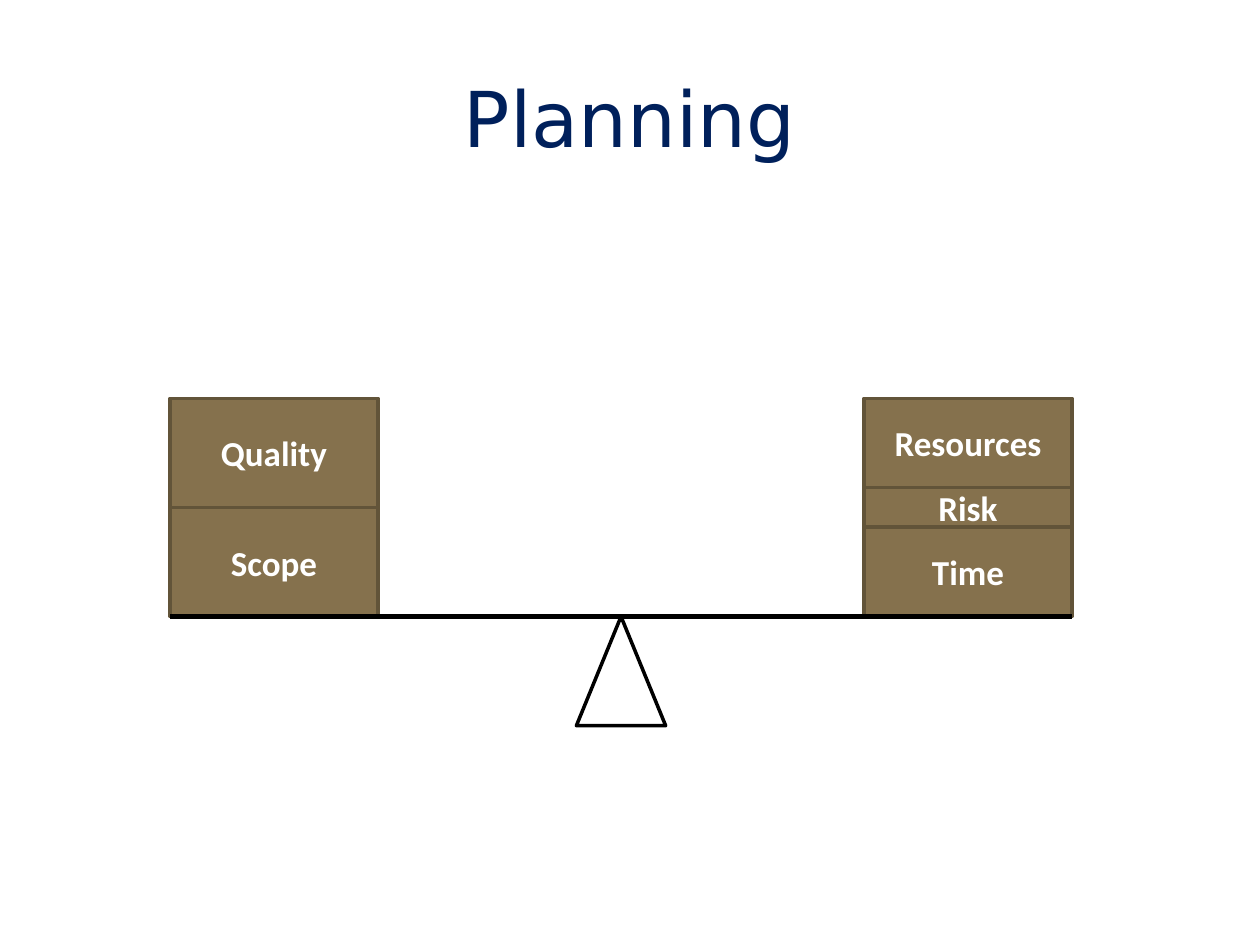
from dataclasses import dataclass

from lxml.etree import SubElement
from pptx import Presentation
from pptx.dml.color import RGBColor
from pptx.enum.shapes import MSO_CONNECTOR as Connector, MSO_SHAPE as Shape
from pptx.enum.text import MSO_ANCHOR as Anchor, PP_ALIGN as Align
from pptx.oxml.ns import qn
from pptx.util import Cm, Pt

COLORS = {"title": "00205B", "weight": "85714D", "edge": "625439",
          "label": "FFFFFF", "scale": "000000"}
TITLE_FONT = {"name": "DejaVu Sans", "size": Pt(44), "bold": False}
LABEL_FONT = {"name": "Calibri", "size": Pt(20), "bold": True}

# Measures of the balance, in cm
BEAM_LEFT, BEAM_RIGHT, BEAM_Y = 3.43, 21.61, 12.43
WEIGHT_WIDTH = 4.19
PIVOT_WIDTH, PIVOT_HEIGHT = 1.8, 2.2


@dataclass
class Weight:
    label: str
    height: float


@dataclass
class Stack:
    left: float
    weights: list[Weight]  # from the beam upwards


STACKS = [
    Stack(BEAM_LEFT, [Weight("Scope", 2.2), Weight("Quality", 2.2)]),
    Stack(BEAM_RIGHT - WEIGHT_WIDTH,
          [Weight("Time", 1.8), Weight("Risk", 0.8), Weight("Resources", 1.8)]),
]


def color(role: str) -> RGBColor:
    return RGBColor.from_string(COLORS[role])


def write(holder, text: str, font_format: dict, role: str) -> None:
    frame = holder.text_frame
    frame.word_wrap = True
    frame.vertical_anchor = Anchor.MIDDLE
    paragraph = frame.paragraphs[0]
    paragraph.alignment = Align.CENTER
    run = paragraph.add_run()
    run.text = text
    for attribute, value in font_format.items():
        setattr(run.font, attribute, value)
    run.font.color.rgb = color(role)


def outline(part, role: str, width: float) -> None:
    part.line.color.rgb = color(role)
    part.line.width = Pt(width)


def draw_stack(slide, stack: Stack) -> None:
    top = BEAM_Y
    for weight in stack.weights:
        top -= weight.height
        block = slide.shapes.add_shape(Shape.RECTANGLE, Cm(stack.left), Cm(top),
                                       Cm(WEIGHT_WIDTH), Cm(weight.height))
        block.shadow.inherit = False
        block.fill.solid()
        block.fill.fore_color.rgb = color("weight")
        outline(block, "edge", 2)
        write(block, weight.label, LABEL_FONT, "label")


def draw_scale(slide) -> None:
    # Pivot, centred under the beam
    pivot_left = (BEAM_LEFT + BEAM_RIGHT - PIVOT_WIDTH) / 2
    pivot = slide.shapes.add_shape(Shape.ISOSCELES_TRIANGLE, Cm(pivot_left), Cm(BEAM_Y),
                                   Cm(PIVOT_WIDTH), Cm(PIVOT_HEIGHT))
    pivot.shadow.inherit = False
    pivot.fill.background()
    outline(pivot, "scale", 2)

    # Beam
    beam = slide.shapes.add_connector(Connector.STRAIGHT, Cm(BEAM_LEFT), Cm(BEAM_Y),
                                      Cm(BEAM_RIGHT), Cm(BEAM_Y))
    outline(beam, "scale", 3)
    SubElement(beam._element.spPr, qn("a:effectLst"))


def main() -> None:
    deck = Presentation()
    deck.slide_width, deck.slide_height = Cm(25.4), Cm(19.05)
    slide = deck.slides.add_slide(deck.slide_layouts[6])

    # Title
    title = slide.shapes.add_textbox(Cm(1.27), Cm(0.76), Cm(22.86), Cm(3.18))
    write(title, "Planning", TITLE_FONT, "title")

    # Weights on the balance
    for stack in STACKS:
        draw_stack(slide, stack)
    draw_scale(slide)

    deck.save("out.pptx")


if __name__ == "__main__":
    main()
